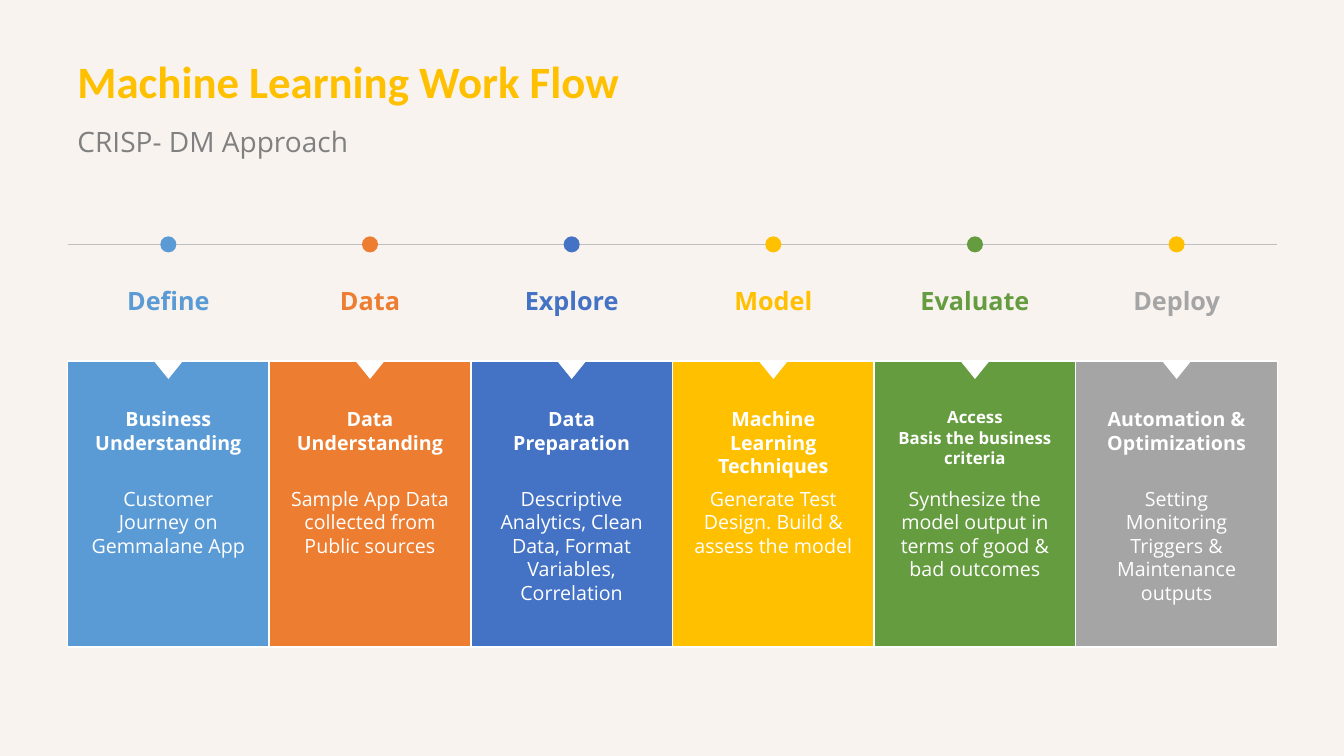
"""Build the machine learning work flow slide."""
from pptx import Presentation
from pptx.dml.color import RGBColor
from pptx.enum.shapes import MSO_CONNECTOR, MSO_SHAPE
from pptx.enum.text import MSO_ANCHOR, PP_ALIGN
from pptx.oxml.ns import qn
from pptx.util import Inches, Pt
from lxml.etree import SubElement

BACKGROUND = RGBColor(0xF8, 0xF3, 0xEF)
WHITE = RGBColor(0xFF, 0xFF, 0xFF)
BLUE = RGBColor(0x5B, 0x9B, 0xD5)
ORANGE = RGBColor(0xED, 0x7D, 0x31)
INDIGO = RGBColor(0x44, 0x72, 0xC4)
GOLD = RGBColor(0xFF, 0xC0, 0x00)
GREEN = RGBColor(0x65, 0x9C, 0x40)
GRAY = RGBColor(0xA5, 0xA5, 0xA5)
DARK_GRAY = RGBColor(0x80, 0x80, 0x80)
LINE_GRAY = RGBColor(0xBF, 0xBF, 0xBF)

TITLE = "Machine Learning Work Flow"
SUBTITLE = "CRISP- DM Approach"
STAGES = [
    ("Define", BLUE, BLUE, 14, ["Business", "Understanding"],
     ["Customer Journey on Gemmalane App"]),
    ("Data", ORANGE, ORANGE, 14, ["Data", "Understanding"],
     ["Sample App Data", "collected from Public sources"]),
    ("Explore", INDIGO, INDIGO, 14, ["Data", "Preparation"],
     ["Descriptive Analytics, Clean Data, Format Variables, Correlation"]),
    ("Model", GOLD, GOLD, 14, ["Machine", "Learning Techniques"],
     ["Generate Test", "Design. Build & assess the model"]),
    ("Evaluate", GREEN, GREEN, 12, ["Access", "Basis the business criteria"],
     ["Synthesize the model output in terms of good & bad outcomes"]),
    ("Deploy", GRAY, GOLD, 14, ["Automation & Optimizations"],
     ["Setting Monitoring Triggers & Maintenance outputs"]),
]

LEFT, COLUMN_WIDTH = 0.67, 2.0
CARD_TOP, CARD_HEIGHT = 3.58, 2.84
TIMELINE_Y, DOT_SIZE = 2.425, 0.16
ARROW_WIDTH, ARROW_HEIGHT = 0.29, 0.18
TEXT_WIDTH = 1.8

presentation = Presentation()
presentation.slide_width, presentation.slide_height = Inches(13.33), Inches(7.5)
slide = presentation.slides.add_slide(presentation.slide_layouts[6])
slide.background.fill.solid()
slide.background.fill.fore_color.rgb = BACKGROUND


def add_text(lines, left, top, width, height, size, color, bold=False,
             font="Open Sans", align=PP_ALIGN.CENTER, anchor=MSO_ANCHOR.TOP):
    box = slide.shapes.add_textbox(*map(Inches, (left, top, width, height)))
    frame = box.text_frame
    frame.word_wrap = True
    frame.vertical_anchor = anchor
    frame.text = "\n".join(lines)
    formats = {"name": font, "size": Pt(size), "bold": bold}
    for paragraph in frame.paragraphs:
        paragraph.alignment = align
        for name, value in formats.items():
            setattr(paragraph.runs[0].font, name, value)
        paragraph.runs[0].font.color.rgb = color


def add_block(kind, left, top, width, height, color, outline=None):
    shape = slide.shapes.add_shape(kind, *map(Inches, (left, top, width, height)))
    shape.shadow.inherit = False
    shape.fill.solid()
    shape.fill.fore_color.rgb = color
    if outline is None:
        shape.line.fill.background()
    else:
        shape.line.color.rgb = outline
        shape.line.width = Pt(1)
    return shape


add_text([TITLE], LEFT, 0.41, 8.51, 0.78, 32, GOLD, True, "Calibri",
         PP_ALIGN.LEFT, MSO_ANCHOR.MIDDLE)
add_text([SUBTITLE], LEFT, 1.19, 4.33, 0.56, 20, DARK_GRAY, align=PP_ALIGN.LEFT)

timeline = slide.shapes.add_connector(
    MSO_CONNECTOR.STRAIGHT, Inches(LEFT), Inches(TIMELINE_Y),
    Inches(LEFT + COLUMN_WIDTH * len(STAGES)), Inches(TIMELINE_Y))
timeline.line.color.rgb = LINE_GRAY
timeline.line.width = Pt(1)
SubElement(timeline._element.spPr, qn("a:effectLst"))

for index, (label, color, dot_color, heading_size, heading, details) in enumerate(STAGES):
    left = LEFT + index * COLUMN_WIDTH
    center = left + COLUMN_WIDTH / 2
    text_left = center - TEXT_WIDTH / 2
    add_block(MSO_SHAPE.RECTANGLE, left, CARD_TOP, COLUMN_WIDTH, CARD_HEIGHT, color, WHITE)
    arrow = add_block(MSO_SHAPE.ISOSCELES_TRIANGLE, center - ARROW_WIDTH / 2, CARD_TOP,
                      ARROW_WIDTH, ARROW_HEIGHT, WHITE)
    arrow.rotation = 180
    add_block(MSO_SHAPE.OVAL, center - DOT_SIZE / 2, TIMELINE_Y - DOT_SIZE / 2,
              DOT_SIZE, DOT_SIZE, dot_color)
    add_text([label], text_left, 2.78, TEXT_WIDTH, 0.4, 18, color, True,
             anchor=MSO_ANCHOR.MIDDLE)
    add_text(heading, text_left, 3.99, TEXT_WIDTH, 0.75, heading_size, WHITE, True)
    add_text(details, text_left, 4.78, TEXT_WIDTH, 1.28, 14, WHITE)

presentation.save("out.pptx")
